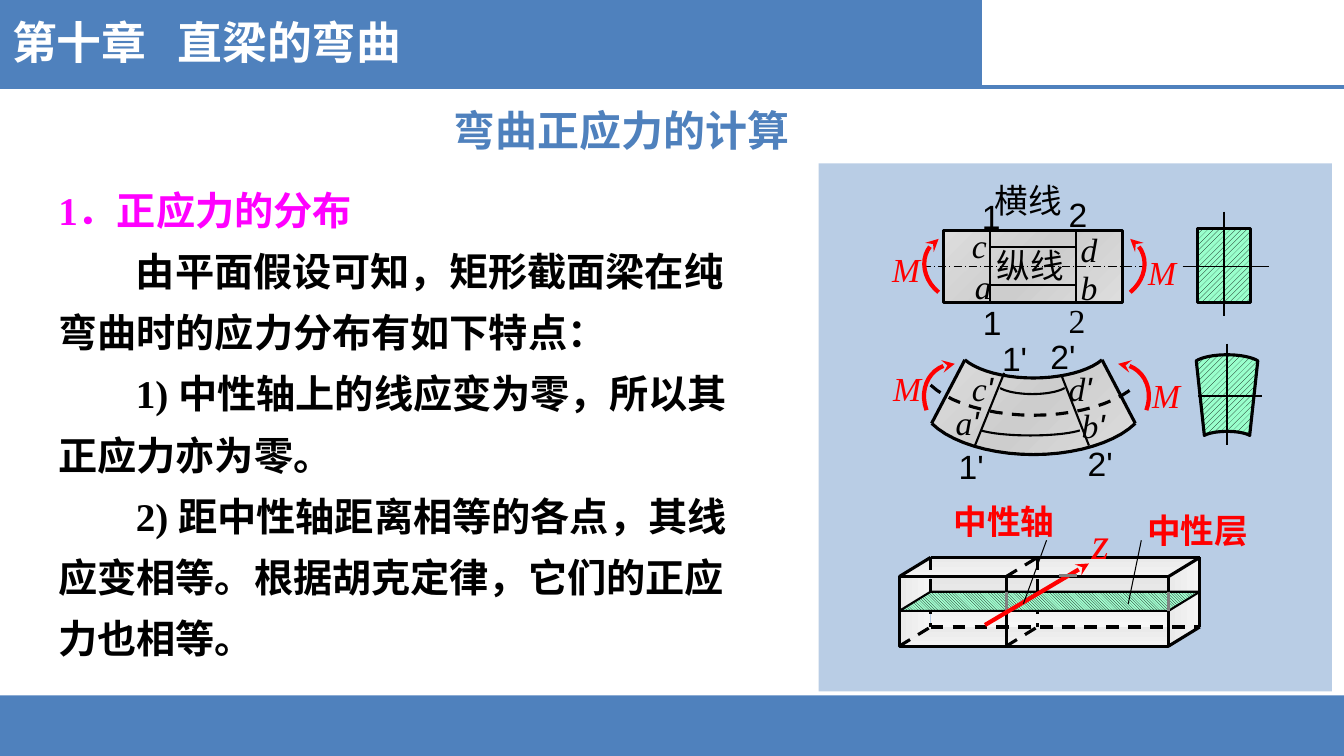
from dataclasses import dataclass

from lxml.etree import SubElement
from pptx import Presentation
from pptx.dml.color import RGBColor
from pptx.enum.dml import MSO_LINE as Dash, MSO_PATTERN as Pattern
from pptx.enum.shapes import MSO_CONNECTOR as Connector, MSO_SHAPE as Shape
from pptx.enum.text import MSO_ANCHOR as Anchor, PP_ALIGN as Align
from pptx.oxml.ns import qn
from pptx.util import Inches, Pt

CELL = Inches(0.1)
SANS, SERIF, CJK = "Arial", "Times New Roman", "Noto Sans CJK SC"
BLUE, RED, BLACK, GREY = "4F81BD", "FF0000", "000000", "808080"
STEEL = (("DDDDDD", "CDCDCD", "DDDDDD"), 45)
HATCH = (Pattern.WIDE_UPWARD_DIAGONAL, "99FFCC")
THIN, MEDIUM, THICK = 0.75, 1.5, 2.25


@dataclass
class Frame:
    """A region of a page, measured in grid cells."""
    page: object
    left: float
    top: float

    def at(self, x, y):
        """Turn a cell of this region into slide lengths."""
        return round((self.left + x) * CELL), round((self.top + y) * CELL)


def color(value):
    """Read a hex colour."""
    return RGBColor.from_string(value)


def stroke(item, width, tint=BLACK, dash=None, arrow=False):
    """Format a line or an outline."""
    item.line.color.rgb = color(tint)
    item.line.width = Pt(width)
    if dash:
        item.line.dash_style = dash
    if arrow:
        SubElement(item.line._get_or_add_ln(), qn("a:tailEnd"), type="stealth")


def paint(item, fill):
    """Fill a shape with a colour, a gradient, a hatch or nothing."""
    item.shadow.inherit = False
    item.line.fill.background()
    if fill is None:
        item.fill.background()
    elif isinstance(fill, str):
        item.fill.solid()
        item.fill.fore_color.rgb = color(fill)
    elif isinstance(fill[0], tuple):
        tints, angle = fill
        item.fill.gradient()
        item.fill.gradient_angle = 360 - angle if angle else 0
        stops = item._element.spPr.find(".//" + qn("a:gsLst"))
        for stop in list(stops):
            stops.remove(stop)
        for index, tint in enumerate(tints):
            share = 100000 * index // (len(tints) - 1)
            stop = SubElement(stops, qn("a:gs"), pos=str(share))
            SubElement(stop, qn("a:srgbClr"), val=tint)
    else:
        item.fill.patterned()
        item.fill.pattern, back = fill
        item.fill.fore_color.rgb = color(BLACK)
        item.fill.back_color.rgb = color(back)


def rect(frame, x, y, width, height, fill, outline=None):
    """Draw a rectangle."""
    size = round(width * CELL), round(height * CELL)
    item = frame.page.shapes.add_shape(Shape.RECTANGLE, *frame.at(x, y), *size)
    paint(item, fill)
    if outline:
        stroke(item, outline)


def line(frame, start, end, width, **look):
    """Draw a straight line."""
    item = frame.page.shapes.add_connector(
        Connector.STRAIGHT, *frame.at(*start), *frame.at(*end))
    SubElement(item._element.spPr, qn("a:effectLst"))
    stroke(item, width, **look)


def outline(frame, points, fill=None, width=None, close=False, **look):
    """Draw a polygon or an open polyline."""
    spots = [frame.at(*point) for point in points]
    builder = frame.page.shapes.build_freeform(*spots[0], scale=1.0)
    builder.add_line_segments(spots[1:], close=close)
    item = builder.convert_to_shape()
    paint(item, fill)
    if width:
        stroke(item, width, **look)


def bezier(points, steps=10):
    """Trace a chain of cubic curves as points."""
    trace = [points[0]]
    for first in range(0, len(points) - 1, 3):
        for step in range(1, steps + 1):
            t = step / steps
            shares = ((1 - t) ** 3, 3 * t * (1 - t) ** 2, 3 * t * t * (1 - t), t ** 3)
            knots = points[first:first + 4]
            trace.append(tuple(sum(share * knot[axis] for share, knot in zip(shares, knots))
                               for axis in (0, 1)))
    return trace


def sag(middle, half, end, drop):
    """Trace a symmetric arc that sinks by drop at its middle."""
    shape = [(-1, 0), (-0.81, 0.61), (-0.42, 1), (0, 1), (0.42, 1), (0.81, 0.61), (1, 0)]
    return bezier([(middle + x * half, end + y * drop) for x, y in shape])


def write(para, pieces, size, tint, bold=False, italic=False):
    """Add runs given as pairs of text and font."""
    for text, face in pieces:
        span = para.add_run()
        span.text = text
        look = {"size": Pt(size), "name": face, "bold": bold, "italic": italic}
        for name, value in look.items():
            setattr(span.font, name, value)
        span.font.color.rgb = color(tint)
        SubElement(span._r.get_or_add_rPr(), qn("a:ea"), typeface=CJK)


def label(frame, x, y, text, face=SANS, size=24, tint=BLACK, width=6, **look):
    """Write a short label, with a sans prime after an italic letter."""
    box = frame.page.shapes.add_textbox(*frame.at(x, y), round(width * CELL), Inches(0.5))
    box.text_frame.word_wrap = True
    pieces = [(text, face)]
    if look.get("italic") and text.endswith("'"):
        pieces = [(text[:-1], face), ("'", SANS)]
    write(box.text_frame.paragraphs[0], pieces, size, tint, **look)


def moments(frame, points, mirror, marks):
    """Draw a pair of mirrored moment arrows and their letters."""
    flipped = [(mirror - x, y) for x, y in points]
    for side in (points, flipped):
        outline(frame, bezier(side), width=3, tint=RED, arrow=True)
    for x, y in marks:
        label(frame, x, y, "M", SERIF, tint=RED, italic=True)


def straight_beam(frame):
    """Draw the beam before bending, with its section."""
    rect(frame, 6.6, 5.9, 17.7, 7.1, STEEL, THICK)
    line(frame, (4.5, 9.4), (26.4, 9.4), THIN, dash=Dash.LONG_DASH_DOT)
    for x in (11.2, 19.7):
        line(frame, (x, 5.9), (x, 13), MEDIUM)
    for y in (7.5, 11.3):
        line(frame, (11.2, y), (19.7, y), MEDIUM)
    rect(frame, 31.8, 5.7, 5.2, 7.3, HATCH, THICK)
    line(frame, (30.3, 9.4), (38.9, 9.4), THIN)
    line(frame, (34.4, 4), (34.4, 14.4), THIN)
    for x, y, text, face in ((9.4, 1.9, "1", SANS), (9.5, 12.5, "1", SANS),
                             (18, 1.7, "2", SANS), (18, 12.3, "2", SERIF)):
        label(frame, x, y, text, face)
    for x, y, text in ((8.7, 8.9, "a"), (19.2, 9, "b"), (8.4, 4.8, "c"), (19.2, 5.2, "d")):
        label(frame, x, y, text, SERIF, italic=True)
    moments(frame, [(6.1, 12), (4.6, 10.8), (4.2, 8.7), (5.3, 7.4), (5.5, 7.1),
                    (5.8, 6.9), (6.1, 6.7)], 31.2, ((0.5, 7.2), (25.9, 7.5)))
    for x, y, text in ((10.7, 0.4, "横线"), (10.9, 6.8, "纵线")):
        label(frame, x, y, text, SERIF, width=10)


def bent_beam(frame):
    """Draw the beam after bending, with its section."""
    top, bottom = sag(15.5, 6.8, 2.7, 1.8), sag(15.5, 10.1, 9, 3.1)
    outline(frame, top + bottom[::-1], STEEL, close=True)
    for arc in (top, bottom):
        outline(frame, arc, width=THICK)
    outline(frame, sag(15.5, 10.2, 5.2, 3), width=THICK, dash=Dash.DASH)
    for start, end in ((top[0], bottom[0]), (top[-1], bottom[-1])):
        line(frame, start, end, THICK)
    line(frame, (18.3, 4.3), (21, 11.2), MEDIUM)
    line(frame, (12.6, 4), (9.7, 11.2), MEDIUM)
    outline(frame, sag(15.4, 3.2, 5.5, 0.6), width=MEDIUM)
    outline(frame, sag(15.2, 4.9, 9.7, 0.5), width=MEDIUM)
    upper, lower = sag(34.7, 3.05, 2.8, -0.6), sag(34.7, 2.25, 10.2, -0.4)
    outline(frame, upper + lower[::-1], HATCH, THICK, close=True)
    line(frame, (34.7, 1.1), (34.7, 11.1), MEDIUM)
    line(frame, (31.8, 6.3), (38.2, 6.3), MEDIUM)
    for x, y, text in ((11.4, 0, "1'"), (7.1, 10.7, "1'"), (16.2, -0.2, "2'"), (19.9, 10.4, "2'")):
        label(frame, x, y, text)
    for x, y, text in ((8.4, 3, "c'"), (6.8, 6.4, "a'"), (18, 3, "d'"), (19.3, 6.7, "b'")):
        label(frame, x, y, text, SERIF, italic=True)
    moments(frame, [(4.9, 7.7), (4.2, 5.8), (5, 3.9), (6.6, 3.3), (6.9, 3.1),
                    (7.3, 3.1), (7.7, 3.1)], 31.6, ((0.6, 3), (26.3, 3.7)))


def prism(frame):
    """Draw the see-through beam with its neutral layer and axis."""
    left, cut, right, top, bottom, layer = 2.2, 12.8, 28.9, 8.2, 15.1, 11.6

    def back(x, y):
        """Move a front point to the back face."""
        return x + 3.1, y - 1.9

    def flat(y, fill, width=None):
        """Draw a level face at the given height."""
        outline(frame, [(left, y), back(left, y), back(right, y), (right, y)], fill, width, True)

    lid, wall = (("EAEAEA", "F3F3F3"), 90), (("EAEAEA", "F4F4F4"), 0)
    flat(bottom, lid)
    rect(frame, *back(left, top), right - left, bottom - top, (("DDDDDD", "F7F7F7"), 90))
    for x in (left, right):
        outline(frame, [(x, top), back(x, top), back(x, bottom), (x, bottom)], wall, close=True)
    flat(top, lid)
    for x, y, dash in ((left, top, None), (right, top, None), (right, bottom, None),
                       (left, bottom, Dash.DASH), (cut, bottom, Dash.DASH), (cut, top, Dash.DASH)):
        line(frame, (x, y), back(x, y), THICK, dash=dash)
    for x, dash in ((right, None), (left, Dash.DASH), (cut, Dash.DASH)):
        line(frame, back(x, top), back(x, bottom), THICK, dash=dash)
    for y, dash in ((top, None), (bottom, Dash.DASH)):
        line(frame, back(left, y), back(right, y), THICK, dash=dash)
    line(frame, (cut, top), (cut, bottom), THICK)
    rect(frame, left, top, right - left, bottom - top, None, THICK)
    flat(layer, (Pattern.LIGHT_DOWNWARD_DIAGONAL, "A3FFD1"), MEDIUM)
    for x in (cut, right):
        line(frame, (x, layer - 1.9), (x, layer), THICK, tint=GREY)
    line(frame, (10.7, 13), (21, 6.9), 3, tint=RED, arrow=True)
    for start, end in (((24.9, 10.9), (26.2, 4.6)), ((14.5, 10.9), (16.8, 4.6))):
        line(frame, start, end, THIN)
    line(frame, (18, 8.1), (19.8, 8.1), THICK, tint=GREY)
    for x, y, text in ((25.8, 1.1, "中性层"), (6.6, 0.2, "中性轴")):
        label(frame, x, y, text, tint=RED, width=14, bold=True)
    label(frame, 20.3, 1.6, "z", SERIF, 32, RED, italic=True)


def header(frame):
    """Draw the bars and set the chapter title and the section heading."""
    rect(frame, 0, 69, 133.33, 6, BLUE)
    rect(frame, 0, 0, 97.4, 8.6, BLUE)
    line(frame, (0, 8.6), (133.33, 8.6), 3, tint=BLUE)
    title = frame.page.shapes.title
    frame.page.shapes._spTree.append(title._element)
    place = {"left": Inches(0.02), "top": Inches(0.1), "width": Inches(6), "height": Inches(0.64)}
    for name, value in place.items():
        setattr(title, name, value)
    title.text_frame.vertical_anchor = Anchor.TOP
    para = title.text_frame.paragraphs[0]
    para.alignment = Align.LEFT
    tabs = SubElement(para._p.get_or_add_pPr(), qn("a:tabLst"))
    SubElement(tabs, qn("a:tab"), pos=str(Inches(1.64)), algn="l")
    write(para, [("第十章\t直梁的弯曲", CJK)], 32, "FFFFFF", bold=True)
    label(frame, 44, 9.9, "弯曲正应力的计算", CJK, 30, BLUE, width=38, bold=True)


def explanation(frame):
    """Write the body text."""
    box = frame.page.shapes.add_textbox(*frame.at(0, 0), Inches(7.13), Inches(5))
    box.text_frame.word_wrap = True
    texts = ("1．正应力的分布",
             "由平面假设可知，矩形截面梁在纯弯曲时的应力分布有如下特点：",
             "1) 中性轴上的线应变为零，所以其正应力亦为零。",
             "2) 距中性轴距离相等的各点，其线应变相等。根据胡克定律，它们的正应力也相等。")
    for index, text in enumerate(texts):
        para = box.text_frame.add_paragraph() if index else box.text_frame.paragraphs[0]
        para.line_spacing = 1.3
        if index:
            para._p.get_or_add_pPr().set("indent", str(Inches(0.77)))
        write(para, [(text, SERIF)], 28, BLACK if index else "FF00FF", bold=True)


def main():
    """Build the deck."""
    deck = Presentation()
    deck.slide_width, deck.slide_height = Inches(13.33), Inches(7.5)
    page = deck.slides.add_slide(deck.slide_layouts[5])
    header(Frame(page, 0, 0))
    explanation(Frame(page, 4.8, 16.6))
    rect(Frame(page, 81.2, 16.2), 0, 0, 50.9, 52.4, "B9CDE5")
    for draw, top in ((straight_beam, 17), (bent_beam, 33), (prism, 49)):
        draw(Frame(page, 87, top))
    deck.save("out.pptx")


if __name__ == "__main__":
    main()
